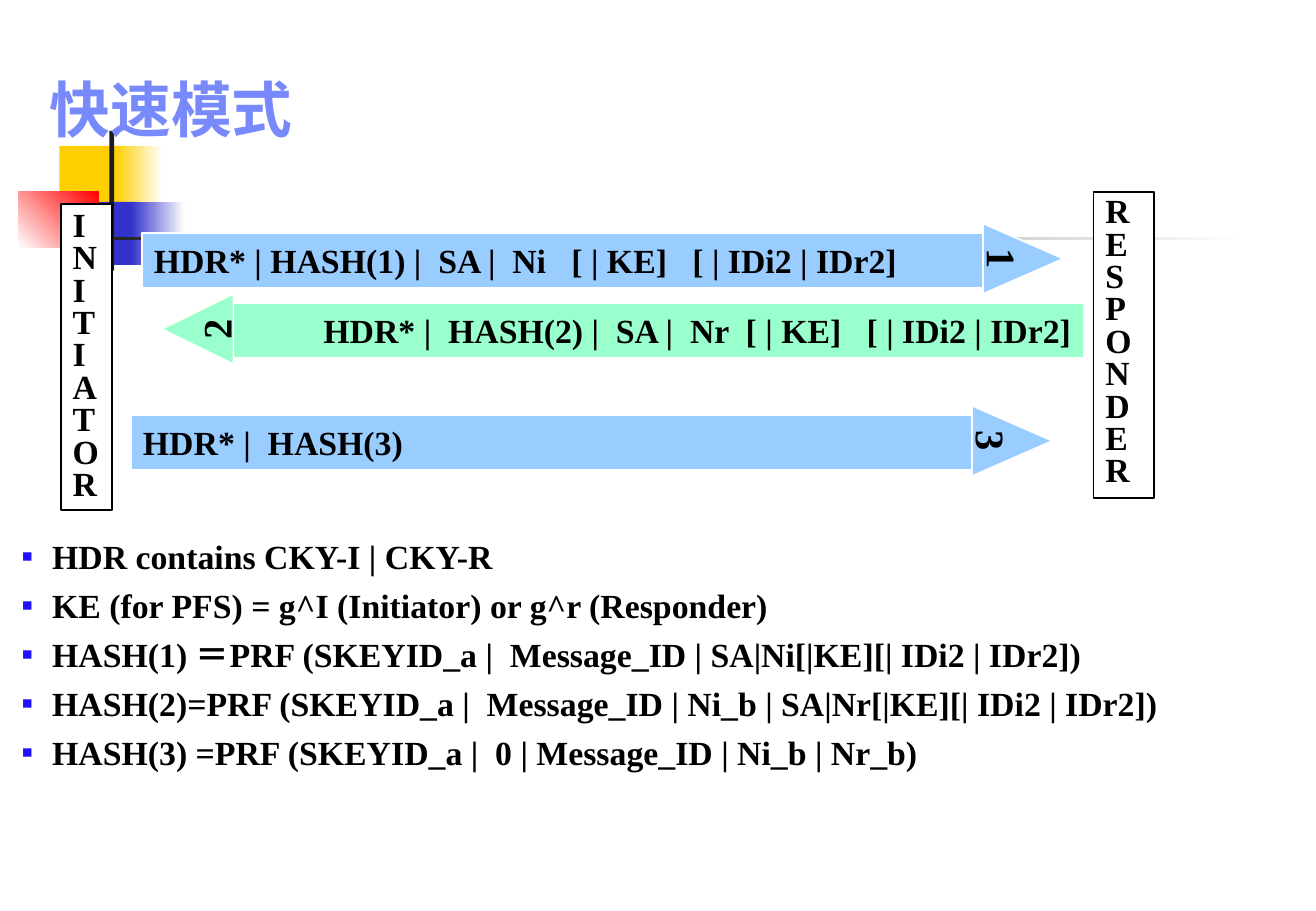
"""Build the slide that shows the three messages of quick mode."""
from dataclasses import dataclass
from typing import NamedTuple

from lxml import etree
from pptx import Presentation
from pptx.dml.color import RGBColor
from pptx.enum.shapes import MSO_SHAPE
from pptx.enum.text import MSO_ANCHOR, PP_ALIGN
from pptx.oxml.ns import qn
from pptx.shapes.autoshape import Shape
from pptx.slide import Slide
from pptx.text.text import TextFrame
from pptx.util import Cm, Pt

RECT, TIP = MSO_SHAPE.RECTANGLE, MSO_SHAPE.ISOSCELES_TRIANGLE
TOP, MIDDLE, BOTTOM = MSO_ANCHOR.TOP, MSO_ANCHOR.MIDDLE, MSO_ANCHOR.BOTTOM
LEFT, CENTER, RIGHT = PP_ALIGN.LEFT, PP_ALIGN.CENTER, PP_ALIGN.RIGHT


@dataclass(frozen=True)
class Theme:
    font: str = "Times New Roman"
    head_size: int = 36
    tip_size: int = 24
    text_size: int = 20
    head: str = "7889FB"
    ink: str = "000000"
    paper: str = "FFFFFF"
    bullet: str = "2110FC"
    gold: str = "FFCF01"
    navy: str = "3333CC"
    red: str = "FF0000"
    coal: str = "1C1C1C"
    sky: str = "99CCFF"
    mint: str = "99FFCC"


THEME = Theme()
BAR_HIGH = 1.14
TIP_BASE = 1.47
TIP_RISE = 0.04


class Box(NamedTuple):
    left: float
    top: float
    width: float
    height: float


class Patch(NamedTuple):
    box: Box
    fill: str
    fade: str = ""
    angle: int = 0


class Party(NamedTuple):
    box: Box
    name: str
    anchor: MSO_ANCHOR


class Message(NamedTuple):
    left: float
    top: float
    width: float
    text: str
    fill: str
    length: float
    back: bool = False


PATCHES = [
    Patch(Box(1.24, 3.05, 1.32, 1.32), THEME.gold),
    Patch(Box(2.41, 3.05, 0.99, 1.32), THEME.gold, THEME.paper),
    Patch(Box(1.63, 4.22, 1.27, 1.32), THEME.navy),
    Patch(Box(2.74, 4.22, 1.12, 1.32), THEME.navy, THEME.paper),
    Patch(Box(0.38, 4.01, 1.68, 1.17), THEME.paper, THEME.red, 45),
    Patch(Box(2.29, 2.74, 0.1, 2.92), THEME.coal),
    Patch(Box(1.32, 4.95, 24.77, 0.08), THEME.coal, THEME.paper),
]
PARTIES = [
    Party(Box(1.27, 4.27, 1.07, 6.4), "INITIATOR", MIDDLE),
    Party(Box(22.86, 4.01, 1.27, 6.4), "RESPONDER", TOP),
]
MESSAGES = [
    Message(2.97, 4.88, 17.58,
            "HDR* | HASH(1) |  SA |  Ni   [ | KE]   [ | IDi2 | IDr2]", THEME.sky, 1.68),
    Message(4.88, 6.35, 17.78,
            "HDR* |  HASH(2) |  SA |  Nr  [ | KE]   [ | IDi2 | IDr2]", THEME.mint, 1.5, True),
    Message(2.74, 8.69, 17.58, "HDR* |  HASH(3)", THEME.sky, 1.68),
]
NOTES = [
    "HDR contains CKY-I | CKY-R",
    "KE (for PFS) = g^I (Initiator) or g^r (Responder)",
    "HASH(1) ＝PRF (SKEYID_a |  Message_ID | SA|Ni[|KE][| IDi2 | IDr2])",
    "HASH(2)=PRF (SKEYID_a |  Message_ID | Ni_b | SA|Nr[|KE][| IDi2 | IDr2])",
    "HASH(3) =PRF (SKEYID_a |  0 | Message_ID | Ni_b | Nr_b)",
]


def paint(hue: str) -> RGBColor:
    return RGBColor.from_string(hue)


def place(box: Box) -> list[Cm]:
    return [Cm(side) for side in box]


def write(frame: TextFrame, *lines: str, size: int = THEME.text_size,
          hue: str = THEME.ink, align: PP_ALIGN = LEFT, anchor: MSO_ANCHOR = TOP,
          wrap: bool = True, pitch: float = 1.0, gap: float = 0,
          bullet: str = "") -> None:
    frame.word_wrap = wrap
    frame.vertical_anchor = anchor
    for index, line in enumerate(lines):
        para = frame.add_paragraph() if index else frame.paragraphs[0]
        para.text = line
        para.alignment = align
        para.line_spacing = pitch
        para.space_before = Pt(gap if index else 0)
        if bullet:
            props = para._p.get_or_add_pPr()
            props.set("marL", str(Cm(0.64)))
            props.set("indent", str(-Cm(0.64)))
            tint = etree.SubElement(props, qn("a:buClr"))
            etree.SubElement(tint, qn("a:srgbClr"), val=THEME.bullet)
            etree.SubElement(props, qn("a:buFont"), typeface=THEME.font)
            etree.SubElement(props, qn("a:buChar"), char=bullet)
        font = para.runs[0].font
        font.name, font.size, font.bold = THEME.font, Pt(size), True
        font.color.rgb = paint(hue)


def draw(slide: Slide, box: Box, fill: str, line: str = "",
         kind: MSO_SHAPE = RECT) -> Shape:
    shape = slide.shapes.add_shape(kind, *place(box))
    shape.shadow.inherit = False
    shape.fill.solid()
    shape.fill.fore_color.rgb = paint(fill)
    if line:
        shape.line.color.rgb = paint(line)
        shape.line.width = Pt(1)
    else:
        shape.line.fill.background()
    return shape


def add_patch(slide: Slide, patch: Patch) -> None:
    shape = draw(slide, patch.box, patch.fill)
    if patch.fade:
        shape.fill.gradient()
        shape.fill.gradient_angle = patch.angle
        for stop, hue in zip(shape.fill.gradient_stops, (patch.fill, patch.fade)):
            stop.color.rgb = paint(hue)


def add_party(slide: Slide, party: Party) -> None:
    shape = draw(slide, party.box, THEME.paper, THEME.ink)
    write(shape.text_frame, party.name, anchor=party.anchor, pitch=0.8)


def add_message(slide: Slide, note: Message, number: int) -> None:
    bar = draw(slide, Box(note.left, note.top, note.width, BAR_HIGH),
               note.fill, THEME.paper)
    write(bar.text_frame, note.text, align=RIGHT if note.back else LEFT)
    half = note.length / 2
    mid_x = note.left - half if note.back else note.left + note.width + half
    mid_y = note.top + BAR_HIGH / 2 - TIP_RISE
    tip = draw(slide, Box(mid_x - TIP_BASE / 2, mid_y - half, TIP_BASE, note.length),
               note.fill, THEME.paper, TIP)
    tip.rotation = 270 if note.back else 90
    write(tip.text_frame, str(number), size=THEME.tip_size, align=CENTER,
          anchor=MIDDLE, wrap=False)


def main() -> None:
    deck = Presentation()
    deck.slide_width, deck.slide_height = Cm(27.51), Cm(19.05)
    slide = deck.slides.add_slide(deck.slide_layouts[6])
    for patch in PATCHES:
        add_patch(slide, patch)
    title = slide.shapes.add_textbox(*place(Box(0.79, 1.47, 22.91, 1.7)))
    write(title.text_frame, "快速模式", size=THEME.head_size, hue=THEME.head,
          anchor=BOTTOM, pitch=0.9)
    for party in PARTIES:
        add_party(slide, party)
    for number, note in enumerate(MESSAGES, 1):
        add_message(slide, note, number)
    notes = slide.shapes.add_textbox(*place(Box(0.2, 11.08, 25.4, 5.5)))
    write(notes.text_frame, *NOTES, gap=5, bullet="▪")
    deck.save("out.pptx")


if __name__ == "__main__":
    main()
